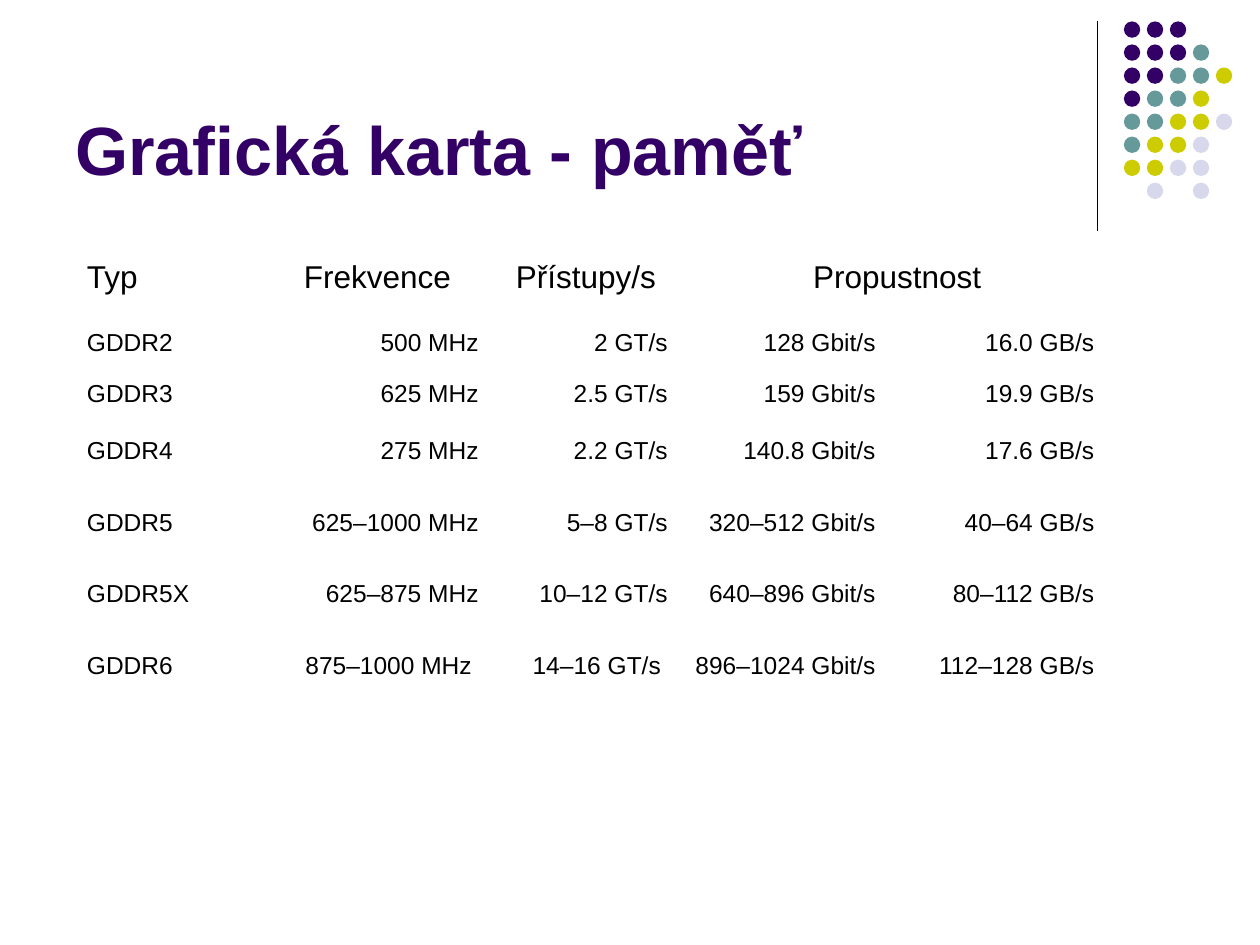
from dataclasses import dataclass

from lxml.etree import SubElement
from pptx import Presentation
from pptx.dml.color import RGBColor
from pptx.enum.shapes import MSO_CONNECTOR, MSO_SHAPE
from pptx.enum.text import MSO_ANCHOR as Anchor, PP_ALIGN as Align
from pptx.oxml.ns import qn
from pptx.util import Inches, Pt


@dataclass(frozen=True)
class Theme:
    font: str = "Arial"
    purple: str = "330066"
    teal: str = "669999"
    yellow: str = "CCCC00"
    lavender: str = "D8D8EC"
    black: str = "000000"
    white: str = "FFFFFF"
    title_size: int = 39
    header_size: int = 18
    body_size: int = 14


THEME = Theme()

# One letter per dot, a point where the grid is empty
DOT_COLORS = {"p": THEME.purple, "t": THEME.teal,
              "y": THEME.yellow, "l": THEME.lavender}
DOT_ROWS = ["ppp..", "pppt.", "pptty", "ptty.",
            "ttyyl", "tyyl.", "yyll.", ".l.l."]

HEADERS = ["Typ", "Frekvence", "Přístupy/s", "Propustnost"]
MEMORY_TYPES = [
    ["GDDR2", "500 MHz", "2 GT/s", "128 Gbit/s", "16.0 GB/s "],
    ["GDDR3", "625 MHz", "2.5 GT/s", "159 Gbit/s", "19.9 GB/s "],
    ["GDDR4", "275 MHz", "2.2 GT/s", "140.8 Gbit/s", "17.6 GB/s "],
    ["GDDR5", "625–1000 MHz", "5–8 GT/s", "320–512 Gbit/s", "40–64 GB/s "],
    ["GDDR5X", "625–875 MHz", "10–12 GT/s", "640–896 Gbit/s", "80–112 GB/s "],
    ["GDDR6", "875–1000 MHz ", "14–16 GT/s ", "896–1024 Gbit/s ",
     "112–128 GB/s "],
]
COLUMN_WIDTHS = [1.5, 1.81, 1.5, 1.65, 1.79]
ROW_HEIGHTS = [0.57, 0.47, 0.33] + [0.57] * 4


def write(frame, text, *, size, color=THEME.black, bold=False,
          align=Align.LEFT):
    paragraph = frame.paragraphs[0]
    paragraph.alignment = align
    run = paragraph.add_run()
    run.text = text
    run.font.name = THEME.font
    run.font.size = Pt(size)
    run.font.bold = bold
    run.font.color.rgb = RGBColor.from_string(color)


def add_divider(slide, left, top, height):
    divider = slide.shapes.add_connector(
        MSO_CONNECTOR.STRAIGHT, left, top, left, top + height)
    divider.line.color.rgb = RGBColor.from_string(THEME.black)
    divider.line.width = Pt(0.75)
    SubElement(divider._element.spPr, qn("a:effectLst"))


def add_dot_pattern(slide, left, top, width, height):
    diameter = Inches(0.13)
    step_x = (width - diameter) / (len(DOT_ROWS[0]) - 1)
    step_y = (height - diameter) / (len(DOT_ROWS) - 1)
    pattern = slide.shapes.add_group_shape()
    for row, letters in enumerate(DOT_ROWS):
        for column, letter in enumerate(letters):
            if letter not in DOT_COLORS:
                continue
            dot = pattern.shapes.add_shape(
                MSO_SHAPE.OVAL, round(left + column * step_x),
                round(top + row * step_y), diameter, diameter)
            dot.shadow.inherit = False
            dot.fill.solid()
            dot.fill.fore_color.rgb = RGBColor.from_string(DOT_COLORS[letter])
            dot.line.fill.background()


def add_title(slide, left, top, width, height):
    frame = slide.shapes.add_textbox(left, top, width, height).text_frame
    frame.word_wrap = True
    frame.vertical_anchor = Anchor.BOTTOM
    write(frame, "Grafická karta - paměť", size=THEME.title_size,
          color=THEME.purple, bold=True)


def add_memory_table(slide, left, top, width, height):
    memory = slide.shapes.add_table(
        len(ROW_HEIGHTS), len(COLUMN_WIDTHS), left, top, width, height).table
    memory.first_row = memory.horz_banding = False
    for column, column_width in zip(memory.columns, COLUMN_WIDTHS):
        column.width = Inches(column_width)
    for row, row_height in zip(memory.rows, ROW_HEIGHTS):
        row.height = Inches(row_height)
    for cell in memory.iter_cells():
        cell.fill.background()
        cell.vertical_anchor = Anchor.MIDDLE

    # Throughput covers both the Gbit/s and the GB/s column
    memory.cell(0, 3).merge(memory.cell(0, 4))
    for row, texts in enumerate([HEADERS] + MEMORY_TYPES):
        size = THEME.body_size if row else THEME.header_size
        value_align = Align.RIGHT if row else Align.CENTER
        for column, text in enumerate(texts):
            write(memory.cell(row, column).text_frame, text, size=size,
                  align=value_align if column else Align.LEFT)


def main():
    deck = Presentation()
    deck.slide_width, deck.slide_height = Inches(10), Inches(7.5)
    slide = deck.slides.add_slide(deck.slide_layouts[6])
    slide.background.fill.solid()
    slide.background.fill.fore_color.rgb = RGBColor.from_string(THEME.white)

    # Corner decoration
    add_divider(slide, Inches(8.71), Inches(0.17), Inches(1.66))
    add_dot_pattern(slide, Inches(8.92), Inches(0.17), Inches(0.86),
                    Inches(1.41))
    # Content
    add_title(slide, Inches(0.5), Inches(0.13), Inches(8.25), Inches(1.42))
    add_memory_table(slide, Inches(0.59), Inches(1.92), Inches(8.25),
                     Inches(3.65))
    deck.save("out.pptx")


if __name__ == "__main__":
    main()
